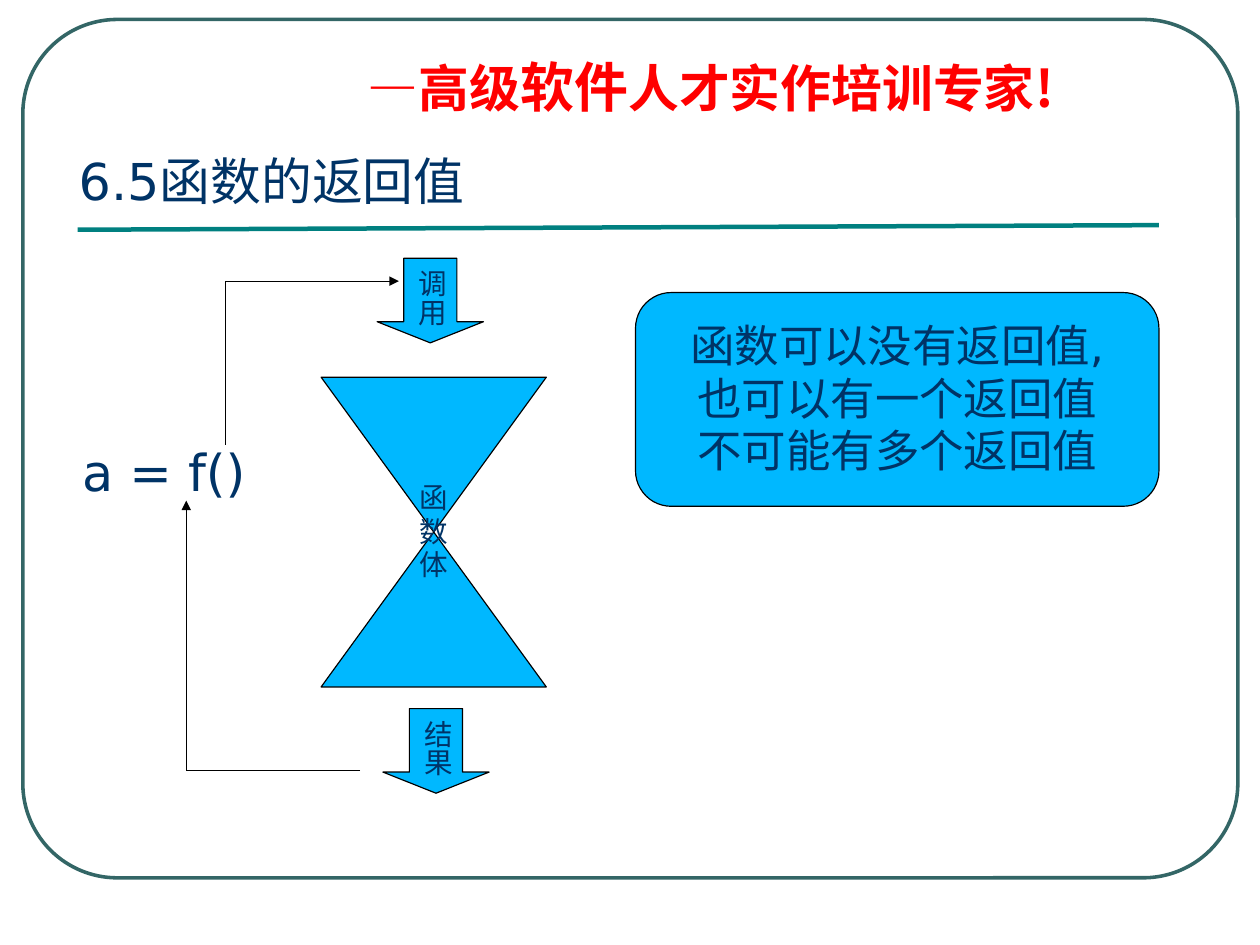
from dataclasses import dataclass

from lxml.etree import SubElement
from pptx import Presentation
from pptx.dml.color import RGBColor
from pptx.enum.shapes import MSO_CONNECTOR, MSO_SHAPE
from pptx.enum.text import MSO_ANCHOR, MSO_AUTO_SIZE, PP_ALIGN
from pptx.oxml.ns import qn
from pptx.util import Inches, Pt

CM_PER_INCH = 2.54


@dataclass(frozen=True)
class Theme:
    navy: str = "003366"
    red: str = "FF0000"
    sky: str = "00B8FF"
    black: str = "000000"
    frame: str = "336666"
    teal: str = "008080"
    latin: str = "DejaVu Sans"
    chinese: str = "Noto Sans CJK SC"
    heading: int = 32
    emphasis: int = 34
    note: int = 28
    label: int = 18
    thin: float = 0.75


class SlideBuilder:
    def __init__(self, slide, theme):
        self.slide = slide
        self.theme = theme

    def add_run(self, paragraph, words, size, **changes):
        """Add one run in the theme's style."""
        run = paragraph.add_run()
        run.text = words
        formats = {"name": self.theme.latin, "size": Pt(size), "bold": False}
        color = changes.pop("color", self.theme.navy)
        for name, value in (formats | changes).items():
            setattr(run.font, name, value)
        run.font.color.rgb = RGBColor.from_string(color)
        SubElement(run.font._element, qn("a:ea"), typeface=self.theme.chinese)

    def fill_frame(self, frame, lines, size, align, **formats):
        """Write one paragraph per line."""
        for name, value in formats.items():
            setattr(frame, name, value)
        for index, words in enumerate(lines):
            paragraph = frame.add_paragraph() if index else frame.paragraphs[0]
            paragraph.alignment = align
            paragraph.line_spacing = 0.98
            self.add_run(paragraph, words, size)

    def textbox(self, box, lines=(), size=0, **formats):
        frame = self.slide.shapes.add_textbox(*map(Inches, box)).text_frame
        self.fill_frame(frame, lines, size, PP_ALIGN.LEFT, word_wrap=True, **formats)
        return frame

    def shape(self, kind, box, fill, line, width, adjustments=()):
        shape = self.slide.shapes.add_shape(kind, *map(Inches, box))
        shape.shadow.inherit = False
        for index, value in enumerate(adjustments):
            shape.adjustments[index] = value
        if fill:
            shape.fill.solid()
            shape.fill.fore_color.rgb = RGBColor.from_string(fill)
        else:
            shape.fill.background()
        shape.line.color.rgb = RGBColor.from_string(line)
        shape.line.width = Pt(width)
        return shape

    def block(self, kind, box, lines, size, adjustments=(), vertical=False):
        """A blue shape with centred text."""
        shape = self.shape(kind, box, self.theme.sky, self.theme.black,
                           self.theme.thin, adjustments)
        frame = shape.text_frame
        side, end = (0.05, 0.1) if vertical else (0.1, 0.05)
        self.fill_frame(
            frame, lines, size, PP_ALIGN.CENTER,
            word_wrap=False, vertical_anchor=MSO_ANCHOR.MIDDLE,
            margin_left=Inches(side), margin_right=Inches(side),
            margin_top=Inches(end), margin_bottom=Inches(end))
        if vertical:
            frame._txBody.bodyPr.set("vert", "eaVert")

    def line(self, start, end, color, width, arrow=False):
        connector = self.slide.shapes.add_connector(
            MSO_CONNECTOR.STRAIGHT, *map(Inches, (*start, *end)))
        connector.line.color.rgb = RGBColor.from_string(color)
        connector.line.width = Pt(width)
        if arrow:
            SubElement(connector.line._get_or_add_ln(), qn("a:tailEnd"), type="triangle")
        SubElement(connector._element.spPr, qn("a:effectLst"))


def main():
    theme = Theme()
    deck = Presentation()
    # Page of 28 by 21 cm
    deck.slide_width = Inches(28 / CM_PER_INCH)
    deck.slide_height = Inches(21 / CM_PER_INCH)
    page = SlideBuilder(deck.slides.add_slide(deck.slide_layouts[6]), theme)

    # Banner with a hanging dash
    banner = page.textbox((3.11, 0.48, 6.89, 0.61), auto_size=MSO_AUTO_SIZE.SHAPE_TO_FIT_TEXT)
    slogan = banner.paragraphs[0]
    slogan.line_spacing = 0.9
    hanging = slogan._p.get_or_add_pPr()
    hanging.set("marL", str(Inches(0.38)))
    hanging.set("indent", str(Inches(-0.37)))
    for words, size in (("—高级", theme.heading), ("软件", theme.emphasis),
                        ("人才实作培训专家!", theme.heading)):
        page.add_run(slogan, words, size, name=theme.chinese, bold=True, color=theme.red)

    # Page frame and title
    page.shape(MSO_SHAPE.ROUNDED_RECTANGLE, (0.2, 0.17, 10.63, 7.51),
               None, theme.frame, 2.25, [0.11])
    page.line((0.68, 2.01), (10.14, 1.97), theme.teal, 2.83)
    page.textbox((0.59, 1.23, 7.78, 0.74), ["6.5函数的返回值"], theme.heading,
                 vertical_anchor=MSO_ANCHOR.MIDDLE)

    # Rule about return values
    page.block(MSO_SHAPE.ROUNDED_RECTANGLE, (5.56, 2.56, 4.58, 1.87),
               ["函数可以没有返回值,", "也可以有一个返回值", "不可能有多个返回值"],
               theme.note, [0.167])

    # Function body with call and result arrows
    page.block(MSO_SHAPE.FLOWCHART_COLLATE, (2.81, 3.3, 1.97, 2.71), "函数体", theme.label)
    for step, left, top in (("调用", 3.3, 2.26), ("结果", 3.35, 6.2)):
        page.block(MSO_SHAPE.DOWN_ARROW, (left, top, 0.93, 0.74), [step],
                   theme.label, [0.5, 0.25], vertical=True)

    # Calling expression
    page.textbox((0.62, 3.83, 2.19, 0.63), ["a = f()"], theme.heading,
                 auto_size=MSO_AUTO_SIZE.SHAPE_TO_FIT_TEXT)

    # Paths to the call and back from the result
    call_path = ((1.97, 3.89), (1.97, 2.46), (3.49, 2.46))
    return_path = ((3.15, 6.74), (1.63, 6.74), (1.63, 4.38))
    for start, corner, end in (call_path, return_path):
        page.line(start, corner, theme.black, theme.thin)
        page.line(corner, end, theme.black, theme.thin, arrow=True)

    deck.save("out.pptx")


if __name__ == "__main__":
    main()
